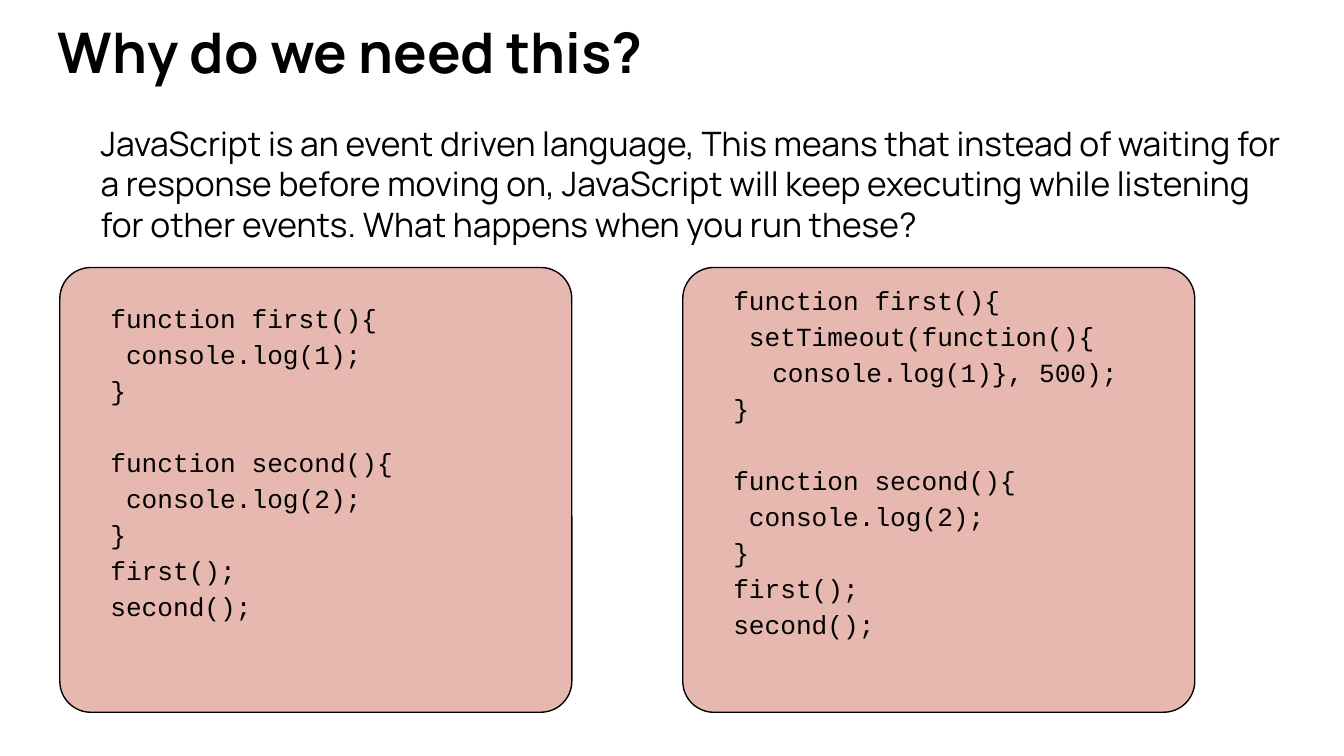
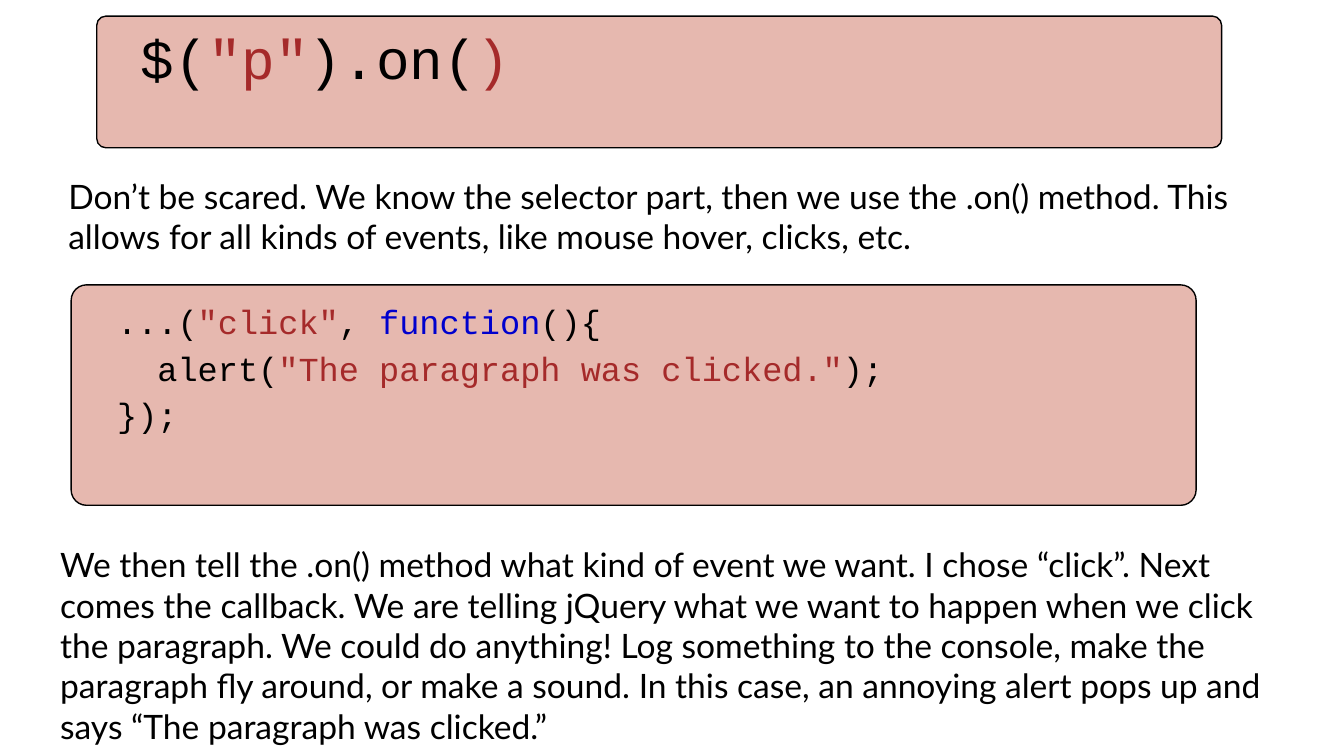
from pptx import Presentation
from pptx.dml.color import RGBColor
from pptx.enum.shapes import MSO_SHAPE
from pptx.enum.text import MSO_ANCHOR, MSO_AUTO_SIZE, PP_ALIGN
from pptx.util import Inches, Pt

BLACK, PINK, RED, BLUE = "000000", "E6B8AF", "A52A2A", "0000CD"
HEAD, BODY, CODE = "Manrope", "Lato", "Courier New"

deck = Presentation()
deck.slide_width = Inches(10)
deck.slide_height = deck.slide_width * 9 // 16
hue = RGBColor.from_string


def write(shape, box, lines, face, size, bold=False):
    left, top, wide, high = box
    shape.left, shape.width = (int(deck.slide_width * n / 100) for n in (left, wide))
    shape.top, shape.height = (int(deck.slide_height * n / 100) for n in (top, high))
    frame = shape.text_frame
    frame.word_wrap = True
    frame.auto_size = MSO_AUTO_SIZE.NONE
    frame.vertical_anchor = MSO_ANCHOR.TOP
    frame.margin_left = frame.margin_right = Inches(0.1)
    frame.margin_top = frame.margin_bottom = Inches(0.1)
    para, gap = frame.paragraphs[0], 0
    for row, line in enumerate(lines):
        if not line:
            gap = size * 1.36
            continue
        if row:
            para = frame.add_paragraph()
        para.alignment = PP_ALIGN.LEFT
        para.space_before, gap = Pt(gap), 0
        parts = [(line, BLACK)] if isinstance(line, str) else line
        if face == CODE:
            para.line_spacing = 1.15
            props = para._p.get_or_add_pPr()
            props.set("marL", str(Inches(0.21)))
            props.set("indent", str(Inches(0.29 if parts[0][0][0] == "\t" else 0)))
        font = para.font
        font.name, font.size, font.bold = face, Pt(size), bold
        font.color.rgb = hue(BLACK)
        for text, tint in parts:
            run = para.add_run()
            run.text = text.lstrip("\t")
            if tint != BLACK:
                run.font.color.rgb = hue(tint)


def card(slide, box, lines, size):
    shape = slide.shapes.add_shape(MSO_SHAPE.ROUNDED_RECTANGLE, 0, 0, 1, 1)
    shape.adjustments[0] = 0.07
    shape.shadow.inherit = False
    shape.fill.solid()
    shape.fill.fore_color.rgb = hue(PINK)
    shape.line.color.rgb = hue(BLACK)
    shape.line.width = Pt(0.75)
    write(shape, box, lines, CODE, size)
    shape.text_frame.vertical_anchor = MSO_ANCHOR.MIDDLE
    shape.text_frame.margin_bottom = Inches(0.55)


why = deck.slides.add_slide(deck.slide_layouts[5])
write(why.shapes.title, (3.3, 0.53, 93.2, 12.44), ["Why do we need this?"], HEAD, 30, True)
intro = (
    "JavaScript is an event driven language, This means that instead of waiting for "
    "a response before moving on, JavaScript will keep executing while listening "
    "for other events. What happens when you run these?"
)
write(why.shapes.add_textbox(0, 0, 1, 1), (6.5, 14.5, 90, 20.8), [intro], HEAD, 18)

plain = [" console.log(1);"]
timed = [" setTimeout(function(){", "\tconsole.log(1)}, 500);"]
rest = ["}", "", "function second(){", " console.log(2);", "}", "first();", "second();"]
for col, inner in enumerate([plain, timed]):
    box = (4.45 + 46.35 * col, 35.38, 38.1, 58.84)
    card(why, box, ["function first(){", *inner, *rest], 14)

event = deck.slides.add_slide(deck.slide_layouts[6])
method = (
    "Don’t be scared. We know the selector part, then we use the .on() method. This "
    "allows for all kinds of events, like mouse hover, clicks, etc."
)
recap = (
    "We then tell the .on() method what kind of event we want. I chose “click”. Next "
    "comes the callback. We are telling jQuery what we want to happen when we click "
    "the paragraph. We could do anything! Log something to the console, make the "
    "paragraph fly around, or make a sound. In this case, an annoying alert pops up and "
    "says “The paragraph was clicked.”"
)
for box, text in [((4.1, 21.51, 93.2, 18.67), method), ((3.5, 70.22, 94.3, 29.5), recap)]:
    write(event.shapes.add_textbox(0, 0, 1, 1), box, [text], BODY, 18)

call = [[("$(", BLACK), ('"p"', RED), (").on(", BLACK), (")", RED)]]
click = [
    [("...(", BLACK), ('"click"', RED), (", ", BLACK), ("function", BLUE), ("(){", BLACK)],
    [("  alert(", BLACK), ('"The paragraph was clicked."', RED), (");", BLACK)],
    "});",
]
card(event, (7.2, 2.13, 83.7, 17.42), call, 30)
card(event, (5.3, 37.69, 83.7, 29.16), click, 18)

deck.save("out.pptx")
